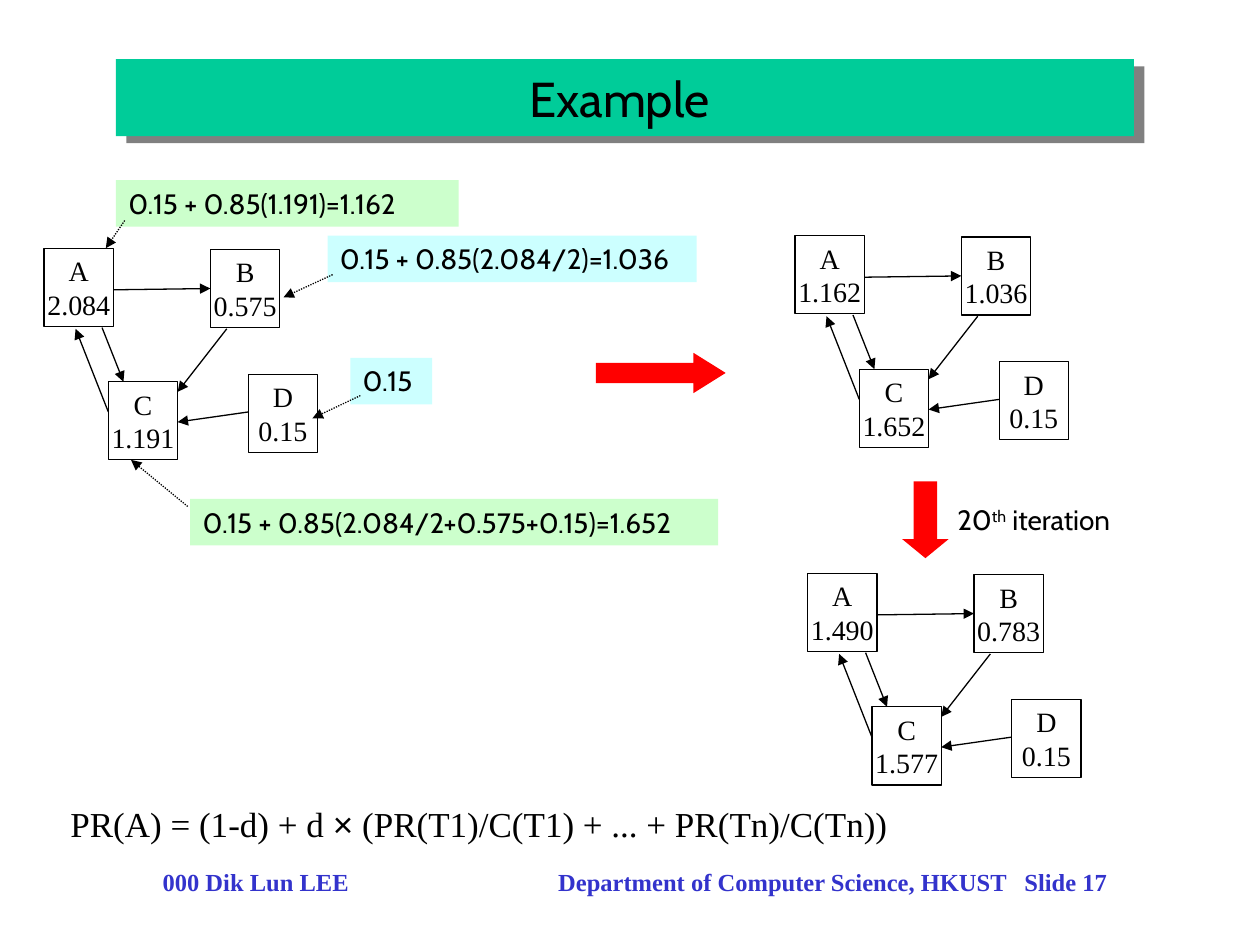
from lxml.etree import SubElement
from pptx import Presentation
from pptx.dml.color import RGBColor
from pptx.enum.dml import MSO_LINE
from pptx.enum.shapes import MSO_CONNECTOR, MSO_SHAPE
from pptx.enum.text import MSO_ANCHOR, PP_ALIGN
from pptx.oxml import parse_xml
from pptx.oxml.ns import nsdecls, qn
from pptx.util import Inches, Pt

BLACK = RGBColor(0x00, 0x00, 0x00)
TEAL = RGBColor(0x00, 0xCC, 0x99)
RED = RGBColor(0xFF, 0x00, 0x00)
BLUE = RGBColor(0x33, 0x33, 0xCC)
CYAN = RGBColor(0xCC, 0xFF, 0xFF)
GREEN = RGBColor(0xCC, 0xFF, 0xCC)
SERIF, SANS, SYMBOL = "Times New Roman", "Cabin", "Arial"

NODE_SIZE = (0.55, 0.62)
NODE_OFFSETS = {"A": (0, 0), "B": (1.32, 0.01), "C": (0.51, 1.06), "D": (1.62, 1)}
LINKS = [
    ((1.62, 1.3), (1.06, 1.38)),
    ((0.51, 1.3), (0.25, 0.64)),
    ((0.46, 0.63), (0.63, 1.06)),
    ((0.55, 0.33), (1.32, 0.32)),
    ((1.45, 0.64), (1.06, 1.14)),
]
GRAPHS = [
    ((0.35, 1.97), {"A": "2.084", "B": "0.575", "C": "1.191", "D": "0.15"}),
    ((6.31, 1.87), {"A": "1.162", "B": "1.036", "C": "1.652", "D": "0.15"}),
    ((6.41, 4.55), {"A": "1.490", "B": "0.783", "C": "1.577", "D": "0.15"}),
]
CALLOUTS = [
    ("0.15 + 0.85(2.084/2)=1.036", (2.6, 1.87), 2.93, CYAN, (2.64, 2.18), (2.25, 2.36)),
    ("0.15", (2.78, 2.84), 0.65, CYAN, (2.86, 3.14), (2.48, 3.32)),
    ("0.15 + 0.85(2.084/2+0.575+0.15)=1.652", (1.51, 3.96), 4.19, GREEN, (1.49, 4.02), (1.04, 3.65)),
    ("0.15 + 0.85(1.191)=1.162", (0.92, 1.43), 2.72, GREEN, (0.99, 1.75), (0.84, 1.97)),
]
BLOCK_ARROWS = [
    (MSO_SHAPE.RIGHT_ARROW, (4.73, 2.8, 1.03, 0.32), 0.8),
    (MSO_SHAPE.DOWN_ARROW, (7.16, 3.82, 0.37, 0.61), 0.41),
]
FORMULA = [("PR(A) = (1-d) + d ", SERIF), ("×", SYMBOL), (" (PR(T1)/C(T1) + ... + PR(Tn)/C(Tn))", SERIF)]
FOOTER = ["000 Dik Lun LEE", "Department of Computer Science, HKUST", "Slide 17"]
FOOTER_TABS = [3.14, 6.84]


def add_span(para, text, font, size, color=BLACK, bold=False):
    span = para.add_run()
    span.text = text
    span.font.name = font
    span.font.size = Pt(size)
    span.font.color.rgb = color
    span.font.bold = bold
    return span


def add_box(shapes, kind, frame, fill=None, outlined=False):
    box = shapes.add_shape(kind, *map(Inches, frame))
    box.shadow.inherit = False
    if fill is None:
        box.fill.background()
    else:
        box.fill.solid()
        box.fill.fore_color.rgb = fill
    if outlined:
        box.line.color.rgb = BLACK
        box.line.width = Pt(0.75)
    else:
        box.line.fill.background()
    return box


def add_text(shapes, frame):
    box = shapes.add_textbox(*map(Inches, frame))
    box.text_frame.word_wrap = True
    return box


def add_arrow(shapes, start, end, dash=None):
    arrow = shapes.add_connector(MSO_CONNECTOR.STRAIGHT, *map(Inches, start + end))
    arrow.line.color.rgb = BLACK
    arrow.line.width = Pt(0.75)
    if dash:
        arrow.line.dash_style = dash
    SubElement(arrow.line._get_or_add_ln(), qn("a:tailEnd"), type="triangle")
    SubElement(arrow._element.spPr, qn("a:effectLst"))


def add_title(shapes):
    box = add_box(shapes, MSO_SHAPE.RECTANGLE, (0.92, 0.47, 8.08, 0.61), TEAL)
    properties = box._element.spPr
    properties.remove(properties.find(qn("a:effectLst")))
    properties.append(parse_xml(
        f'<a:effectLst {nsdecls("a")}><a:outerShdw dist="91440" dir="2040000" algn="ctr" rotWithShape="0">'
        '<a:srgbClr val="808080"/></a:outerShdw></a:effectLst>'))
    box.text_frame.vertical_anchor = MSO_ANCHOR.MIDDLE
    para = box.text_frame.paragraphs[0]
    para.alignment = PP_ALIGN.CENTER
    add_span(para, "Example ", SANS, 28)


def add_graph(shapes, origin, ranks):
    group = shapes.add_group_shape().shapes

    def place(point):
        return origin[0] + point[0], origin[1] + point[1]

    for name, offset in NODE_OFFSETS.items():
        node = add_box(group, MSO_SHAPE.RECTANGLE, place(offset) + NODE_SIZE, outlined=True)
        frame = node.text_frame
        frame.word_wrap = False
        frame.vertical_anchor = MSO_ANCHOR.MIDDLE
        for para, text in ((frame.paragraphs[0], name), (frame.add_paragraph(), ranks[name])):
            para.alignment = PP_ALIGN.CENTER
            add_span(para, text, SERIF, 16)
    for start, end in LINKS:
        add_arrow(group, place(start), place(end))


def add_callout(shapes, text, corner, width, fill, start, end):
    box = add_text(shapes, (*corner, width, 0.37))
    box.fill.solid()
    box.fill.fore_color.rgb = fill
    add_span(box.text_frame.paragraphs[0], text, SANS, 16)
    add_arrow(shapes, start, end, MSO_LINE.ROUND_DOT)


def add_footer(shapes):
    box = add_text(shapes, (0.5, 6.83, 9.08, 0.5))
    box.text_frame.margin_left = Inches(0.79)
    para = box.text_frame.paragraphs[0]
    tabs = SubElement(para._p.get_or_add_pPr(), qn("a:tabLst"))
    for position in FOOTER_TABS:
        SubElement(tabs, qn("a:tab"), pos=str(Inches(position)), algn="l")
    add_span(para, "\t".join(FOOTER), SERIF, 14, BLUE, True)


def main():
    deck = Presentation()
    deck.slide_width, deck.slide_height = Inches(10), Inches(7.5)
    page = deck.slides.add_slide(deck.slide_layouts[6])
    shapes = page.shapes

    add_footer(shapes)
    add_title(shapes)
    for origin, ranks in GRAPHS:
        add_graph(shapes, origin, ranks)
    for callout in CALLOUTS:
        add_callout(shapes, *callout)
    for kind, frame, head in BLOCK_ARROWS:
        arrow = add_box(shapes, kind, frame, RED)
        arrow.adjustments[0] = 0.5
        arrow.adjustments[1] = head

    label = add_text(shapes, (7.5, 3.94, 1.53, 0.37)).text_frame.paragraphs[0]
    add_span(label, "20", SANS, 16)
    ordinal = add_span(label, "th", SANS, 16)
    ordinal._r.get_or_add_rPr().set("baseline", "30000")
    add_span(label, " iteration", SANS, 16)

    formula = add_text(shapes, (0.46, 6.32, 6.75, 0.44)).text_frame.paragraphs[0]
    for text, font in FORMULA:
        add_span(formula, text, font, 20)

    deck.save("out.pptx")


if __name__ == "__main__":
    main()
